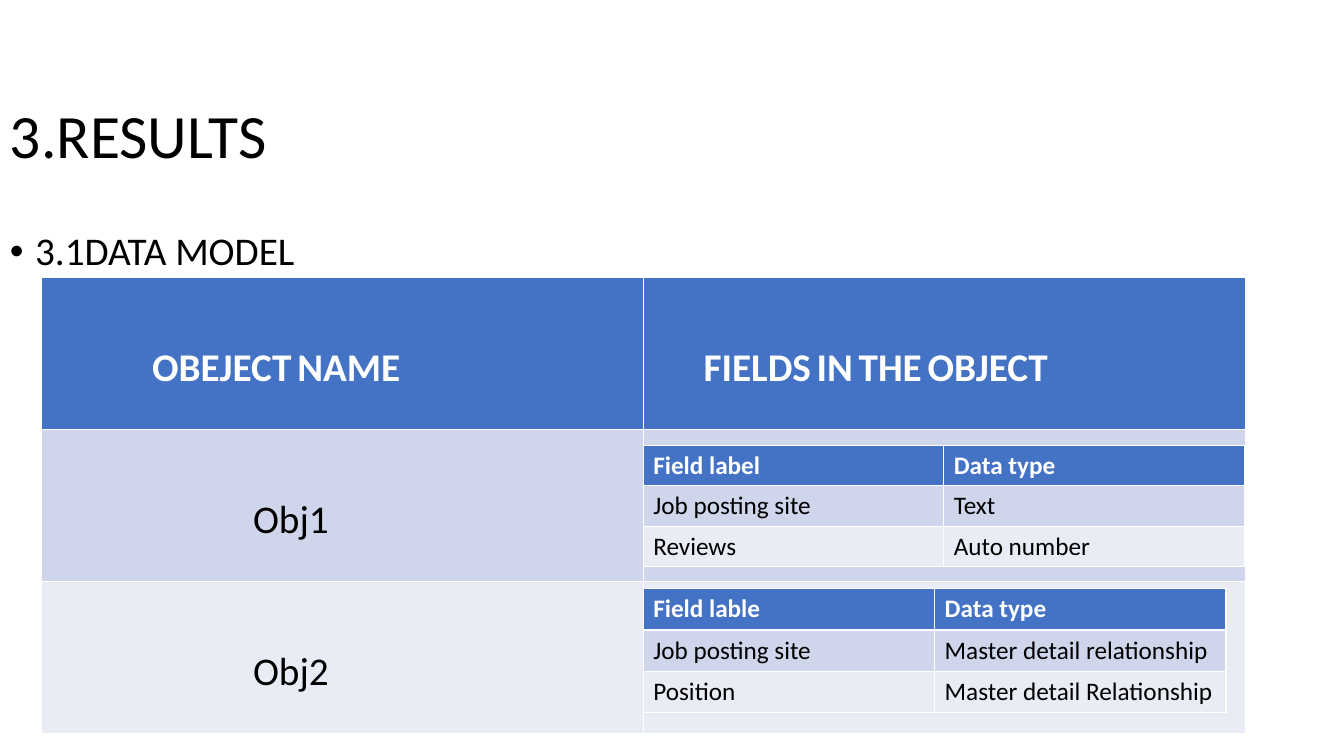
import dataclasses

import lxml.etree
import pptx
import pptx.dml.color
import pptx.enum.text
import pptx.oxml.ns
import pptx.util

EMU_PER_PX = 9144
FONT = "Calibri"
BLACK, WHITE = "000000", "FFFFFF"
HEADER_FILL = "4472C4"
BAND_FILLS = ("CFD5EA", "E9EBF5")


@dataclasses.dataclass(frozen=True)
class Label:
    text: str
    top: int
    height: int
    size: int
    anchor: pptx.enum.text.MSO_ANCHOR
    bullet: str = ""


@dataclasses.dataclass(frozen=True)
class Cell:
    text: str
    indent: int = 0


@dataclasses.dataclass(frozen=True)
class Grid:
    left: int
    top: int
    column_width: int
    row_height: int
    rows: tuple[tuple[Cell, ...], ...]
    size: int = 18
    margin_top: int = 5
    header_gap_size: int = 18


LABELS = (
    Label("3.RESULTS", 50, 175, 44, pptx.enum.text.MSO_ANCHOR.MIDDLE),
    Label("3.1DATA MODEL", 225, 417, 28, pptx.enum.text.MSO_ANCHOR.TOP, "•"),
)

GRIDS = (
    Grid(41, 275, 597, 151, (
        (Cell("OBEJECT NAME", 100), Cell("FIELDS IN THE OBJECT", 50)),
        (Cell("Obj1", 200), Cell("")),
        (Cell("Obj2", 200), Cell("")),
    ), size=28, margin_top=66),
    Grid(638, 442, 298, 40, (
        (Cell("Field label"), Cell("Data type")),
        (Cell("Job posting site"), Cell("Text")),
        (Cell("Reviews"), Cell("Auto number")),
    )),
    Grid(638, 584, 289, 41, (
        (Cell("Field lable"), Cell("Data type")),
        (Cell("Job posting site"), Cell("Master detail relationship")),
        (Cell("Position"), Cell("Master detail Relationship")),
    )),
)


def px(length: int) -> pptx.util.Emu:
    return pptx.util.Emu(length * EMU_PER_PX)


def color(value: str) -> pptx.dml.color.RGBColor:
    return pptx.dml.color.RGBColor.from_string(value)


def style_span(span, size: int, ink: str, bold: bool = False) -> None:
    span.font.name = FONT
    span.font.size = pptx.util.Pt(size)
    span.font.bold = bold
    span.font.color.rgb = color(ink)


def draw_label(page, label: Label) -> None:
    box = page.shapes.add_textbox(px(0), px(label.top), px(430), px(label.height))
    frame = box.text_frame
    frame.word_wrap = True
    frame.vertical_anchor = label.anchor
    frame.text = label.text
    para = frame.paragraphs[0]
    para.line_spacing = 0.9
    style_span(para.runs[0], label.size, BLACK)
    if label.bullet:
        properties = para._p.get_or_add_pPr()
        properties.set("marL", str(px(25)))
        properties.set("indent", str(px(-25)))
        font = lxml.etree.SubElement(properties, pptx.oxml.ns.qn("a:buFont"))
        font.set("typeface", "Arial")
        mark = lxml.etree.SubElement(properties, pptx.oxml.ns.qn("a:buChar"))
        mark.set("char", label.bullet)


def write_header(para, text: str, size: int, gap_size: int) -> None:
    first, *others = text.split(" ")
    para.text = first
    for word in others:
        para.add_run().text = " "
        para.add_run().text = word
    for span in para.runs:
        style_span(span, gap_size if span.text == " " else size, WHITE, True)


def draw_grid(page, grid: Grid) -> None:
    row_count, column_count = len(grid.rows), len(grid.rows[0])
    table = page.shapes.add_table(
        row_count, column_count, px(grid.left), px(grid.top),
        px(grid.column_width * column_count), px(grid.row_height * row_count),
    ).table
    for row_index, row in enumerate(grid.rows):
        is_header = row_index == 0
        for column_index, content in enumerate(row):
            cell = table.cell(row_index, column_index)
            cell.fill.solid()
            cell.fill.fore_color.rgb = color(
                HEADER_FILL if is_header else BAND_FILLS[(row_index - 1) % 2])
            if not content.text:
                continue
            cell.margin_left = px(10 + content.indent)
            cell.margin_top = px(grid.margin_top)
            para = cell.text_frame.paragraphs[0]
            if is_header:
                write_header(para, content.text, grid.size, grid.header_gap_size)
            else:
                para.text = content.text
                style_span(para.runs[0], grid.size, BLACK)


def main() -> None:
    deck = pptx.Presentation()
    deck.slide_width, deck.slide_height = px(1333), px(750)
    page = deck.slides.add_slide(deck.slide_layouts[6])
    for label in LABELS:
        draw_label(page, label)
    for grid in GRIDS:
        draw_grid(page, grid)
    deck.save("out.pptx")


if __name__ == "__main__":
    main()
